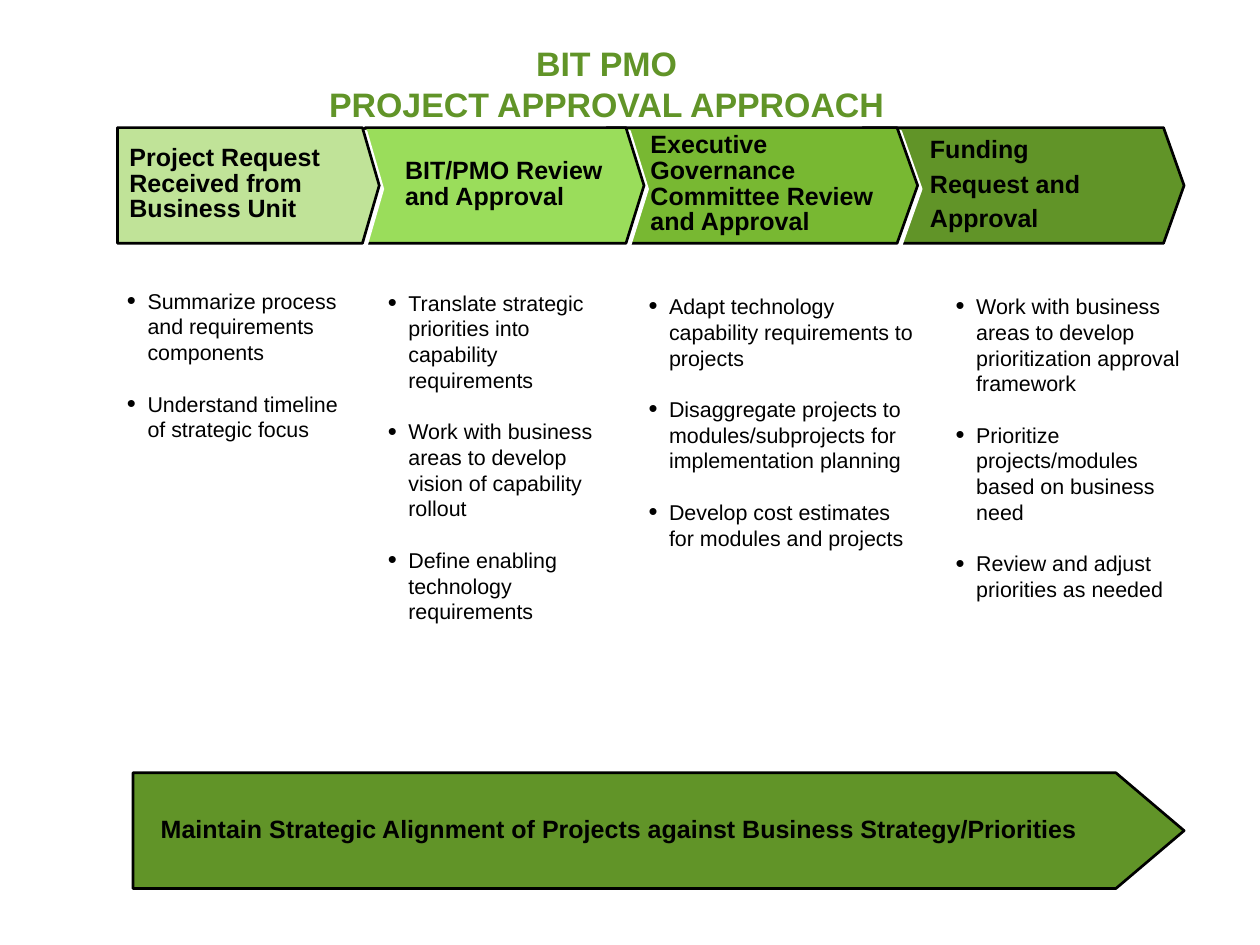
from lxml import etree
from pptx import Presentation, util as u
from pptx.dml import color
from pptx.enum import shapes, text
from pptx.oxml import ns

# Content
TITLE = ["BIT PMO", "PROJECT APPROVAL APPROACH"]
GREEN = "619428"
# left, right, tip length, label left, label width, label shift, fill, lines
STAGES = [
    (65.8, 212.4, 9.4, 72.5, 130, -0.5, "C0E398",
     ["Project Request Received from Business Unit"]),
    (204.5, 360.7, 10.1, 226.8, 126, -0.5, "9ADD5B",
     ["BIT/PMO Review and Approval"]),
    (339.8, 513.9, 11.5, 364.3, 144, -0.5, "78B832",
     ["Executive Governance Committee Review and Approval"]),
    (483.1, 663.1, 11.5, 520.8, 130, 0, GREEN,
     ["Funding", "Request and", "Approval"]),
]
FOUNDATION = (
    74.5, 663.1, 38.2, 90, 530, 0, GREEN,
    ["Maintain Strategic Alignment of Projects against "
     "Business Strategy/Priorities"])
# left, top, width, bullets
ACTIVITIES = [
    (71.1, 161.2, 121, [
        "Summarize process and requirements components",
        "Understand timeline of strategic focus"]),
    (217.2, 162.3, 131, [
        "Translate strategic priorities into capability requirements",
        "Work with business areas to develop vision of capability rollout",
        "Define enabling technology requirements"]),
    (363.2, 164.2, 151.2, [
        "Adapt technology capability requirements to projects",
        "Disaggregate projects to modules/subprojects for "
        "implementation planning",
        "Develop cost estimates for modules and projects"]),
    (535.2, 164.2, 136.8, [
        "Work with business areas to develop prioritization "
        "approval framework",
        "Prioritize projects/modules based on business need",
        "Review and adjust priorities as needed"]),
]
STAGE_TOP, FOUNDATION_TOP, ARROW_HEIGHT = 71.5, 432.8, 64.8
INDENT, BULLET_GAP = 11.5, 14.4


def rgb(value):
    return color.RGBColor.from_string(value)


def place(frame, anchor=text.MSO_ANCHOR.TOP):
    frame.word_wrap = True
    frame.auto_size = text.MSO_AUTO_SIZE.NONE
    frame.vertical_anchor = anchor
    frame.margin_left = frame.margin_right = 0
    frame.margin_top = frame.margin_bottom = 0


def write(frame, lines, size, bold=False, ink="000000",
          align=text.PP_ALIGN.LEFT):
    for number, line in enumerate(lines):
        para = frame.add_paragraph() if number else frame.paragraphs[0]
        para.alignment = align
        span = para.add_run()
        span.text = line
        span.font.name, span.font.size = "Arial", u.Pt(size)
        span.font.bold, span.font.color.rgb = bold, rgb(ink)
    return frame.paragraphs


def add_box(page, left, top, width, height, anchor=text.MSO_ANCHOR.TOP):
    box = page.shapes.add_textbox(u.Pt(left), u.Pt(top),
                                  u.Pt(width), u.Pt(height))
    place(box.text_frame, anchor)
    return box.text_frame


def add_white_shadow(shape):
    shape.shadow.inherit = False
    effects = shape._element.spPr.find(ns.qn("a:effectLst"))
    shadow = etree.SubElement(effects, ns.qn("a:outerShdw"),
                              dist=str(u.Pt(2.8)), dir="2700000",
                              algn="ctr", rotWithShape="0")
    etree.SubElement(shadow, ns.qn("a:srgbClr"), val="FFFFFF")


def add_arrow(page, top, left, right, tip, label_left, label_width,
              label_shift, fill, lines):
    arrow = page.shapes.add_shape(
        shapes.MSO_SHAPE.PENTAGON, u.Pt(left), u.Pt(top),
        u.Pt(right - left), u.Pt(ARROW_HEIGHT))
    arrow.adjustments[0] = tip / ARROW_HEIGHT
    arrow.fill.solid()
    arrow.fill.fore_color.rgb = rgb(fill)
    arrow.line.color.rgb, arrow.line.width = rgb("000000"), u.Pt(1.5)
    add_white_shadow(arrow)
    label = add_box(page, label_left, top + label_shift, label_width,
                    ARROW_HEIGHT, text.MSO_ANCHOR.MIDDLE)
    for para in write(label, lines, 14, bold=True):
        para.line_spacing, para.space_after = 0.85, u.Pt(4.9)


def add_bullets(page, left, top, width, lines):
    frame = add_box(page, left, top, width, 190)
    for number, para in enumerate(write(frame, lines, 12)):
        para.space_before = u.Pt(BULLET_GAP if number else 0)
        props = para._p.get_or_add_pPr()
        props.set("marL", str(u.Pt(INDENT)))
        props.set("indent", str(-u.Pt(INDENT)))
        etree.SubElement(props, ns.qn("a:buSzPct"), val="120000")
        etree.SubElement(props, ns.qn("a:buFont"), typeface="Arial")
        etree.SubElement(props, ns.qn("a:buChar"), char="•")


deck = Presentation()
deck.slide_width, deck.slide_height = u.Pt(705.6), u.Pt(529.2)
page = deck.slides.add_slide(deck.slide_layouts.get_by_name("Title Only"))

# Title
title = page.shapes.title
title.left, title.top = u.Pt(0.2), u.Pt(23.8)
title.width, title.height = u.Pt(679), u.Pt(46)
place(title.text_frame)
write(title.text_frame, TITLE, 19, True, GREEN, text.PP_ALIGN.CENTER)

# Stage arrows, last first so that each tip overlaps the next stage
for stage in reversed(STAGES):
    add_arrow(page, STAGE_TOP, *stage)

# Activities under each stage
for activity in ACTIVITIES:
    add_bullets(page, *activity)

# Foundation arrow
add_arrow(page, FOUNDATION_TOP, *FOUNDATION)

deck.save("out.pptx")
